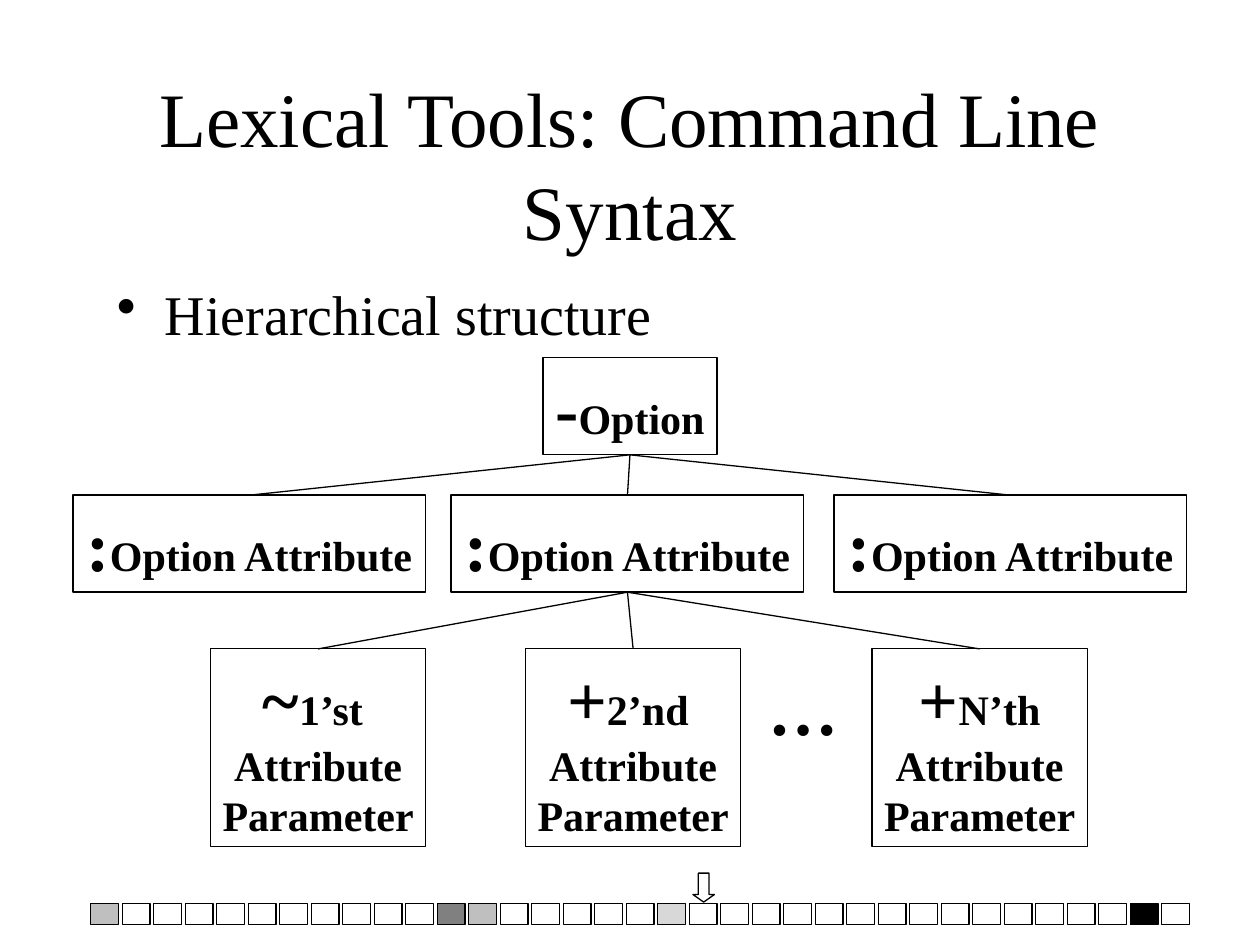
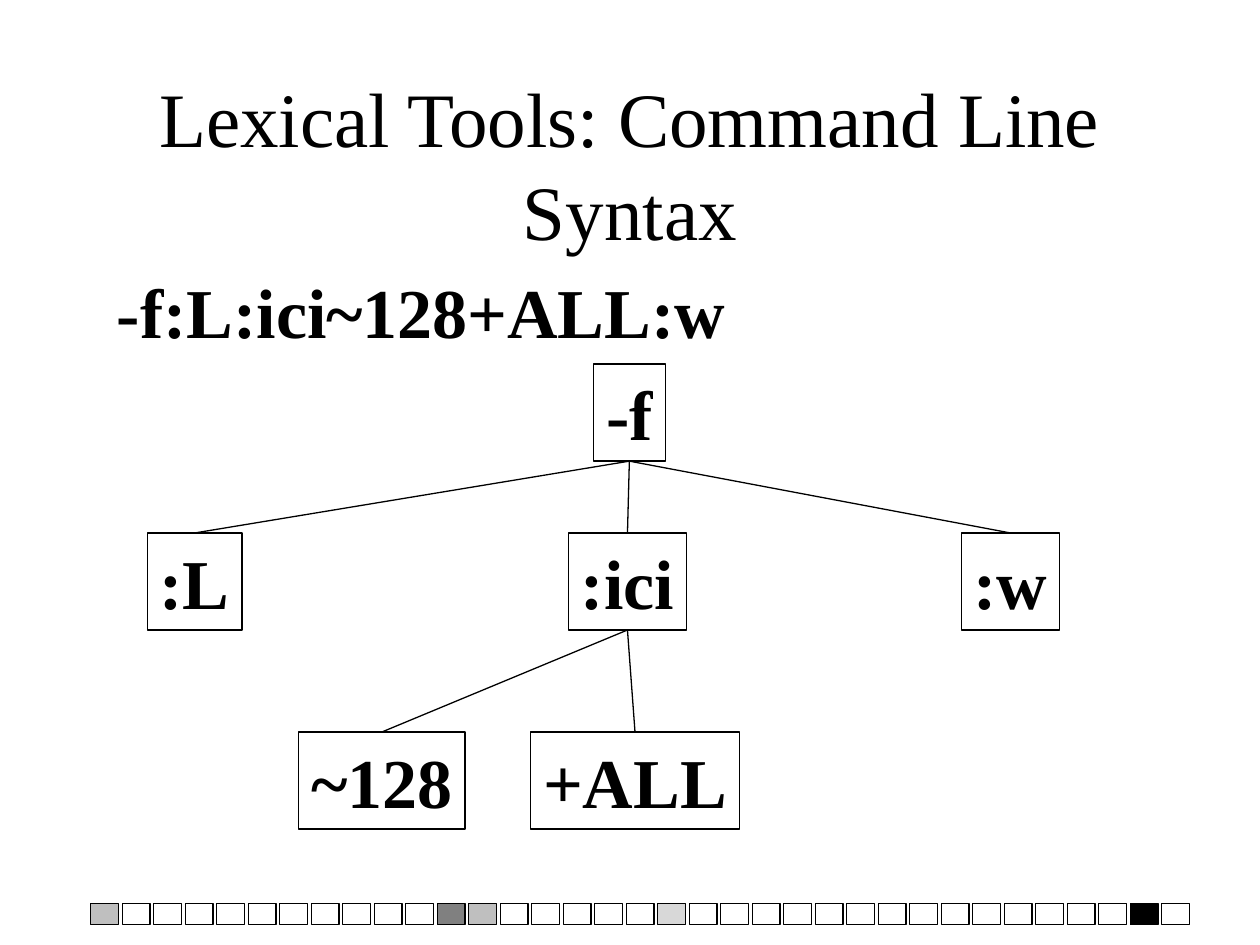
from pptx import Presentation
from pptx.dml.color import RGBColor
from pptx.enum.shapes import MSO_CONNECTOR, MSO_SHAPE
from pptx.enum.text import MSO_ANCHOR, PP_ALIGN
from pptx.oxml.xmlchemy import OxmlElement
from pptx.util import Inches, Pt

BLACK = RGBColor(0x00, 0x00, 0x00)
GRAY = RGBColor(0x80, 0x80, 0x80)
SILVER = RGBColor(0xB2, 0xB2, 0xB2)

FONT = "Times New Roman"
TITLE_SIZE, BODY_SIZE, SYMBOL_SIZE, LABEL_SIZE = 44, 32, 40, 24
HAIRLINE = Pt(0.75)
BOTTOM, TOP = 2, 0
TITLE = "Lexical Tools: Command Line Syntax"

# Progress strip: step number -> (colour, opacity in percent)
STEP_COUNT = 35
STEP_FILLS = {0: (GRAY, 50), 11: (GRAY, 100), 12: (GRAY, 50),
              18: (SILVER, 50), 34 - 1: (BLACK, 100)}


def write_text(frame, paragraphs, size=SYMBOL_SIZE, bold=True,
               align=PP_ALIGN.CENTER, anchor=MSO_ANCHOR.MIDDLE,
               wrap=False, bullet=None):
    """Fill a frame; a paragraph is a string or a list of (text, size) runs."""
    frame.word_wrap = wrap
    frame.vertical_anchor = anchor
    for number, content in enumerate(paragraphs):
        paragraph = frame.paragraphs[0] if number == 0 else frame.add_paragraph()
        paragraph.alignment = align
        if bullet:
            properties = paragraph._p.get_or_add_pPr()
            properties.set("marL", str(Inches(0.38)))
            properties.set("indent", str(-Inches(0.38)))
            mark = OxmlElement("a:buChar")
            mark.set("char", bullet)
            properties.append(mark)
        runs = [(content, size)] if isinstance(content, str) else content
        for text, run_size in runs:
            run = paragraph.add_run()
            run.text = text
            run.font.name = FONT
            run.font.size = Pt(run_size)
            run.font.bold = bold
            run.font.color.rgb = BLACK


class Deck:
    """Holds the shared style and the slide being drawn."""

    def __init__(self):
        self.presentation = Presentation()
        self.presentation.slide_width = Inches(10)
        self.presentation.slide_height = Inches(7.5)
        self.slide = None

    def new_slide(self):
        self.slide = self.presentation.slides.add_slide(
            self.presentation.slide_layouts[6])
        self.progress_strip()
        self.text([TITLE], 0.75, 0.67, 8.5, 1.25, size=TITLE_SIZE,
                  bold=False, wrap=True)

    def text(self, paragraphs, left, top, width, height, **style):
        box = self.slide.shapes.add_textbox(
            Inches(left), Inches(top), Inches(width), Inches(height))
        write_text(box.text_frame, paragraphs, **style)

    def body(self, text, top, **style):
        self.text([text], 0.83, top, 8.5, 4.5, align=PP_ALIGN.LEFT,
                  anchor=MSO_ANCHOR.TOP, wrap=True, **style)

    def outline(self, kind, left, top, width, height, fill=None, opacity=100):
        shape = self.slide.shapes.add_shape(
            kind, Inches(left), Inches(top), Inches(width), Inches(height))
        shape.shadow.inherit = False
        shape.line.color.rgb = BLACK
        shape.line.width = HAIRLINE
        if fill is None:
            shape.fill.background()
            return shape
        shape.fill.solid()
        shape.fill.fore_color.rgb = fill
        if opacity < 100:
            alpha = OxmlElement("a:alpha")
            alpha.set("val", str(opacity * 1000))
            shape.fill._xPr.solidFill.find("{*}srgbClr").append(alpha)
        return shape

    def progress_strip(self):
        for step in range(STEP_COUNT):
            fill, opacity = STEP_FILLS.get(step, (None, 100))
            self.outline(MSO_SHAPE.RECTANGLE, 0.72 + 0.25 * step, 7.17,
                         0.22, 0.17, fill, opacity)

    def node(self, paragraphs, left, top, width, height=0.77):
        node = self.outline(MSO_SHAPE.RECTANGLE, left, top, width, height)
        write_text(node.text_frame, paragraphs)
        return node

    def branches(self, parent, children):
        for child in children:
            branch = self.slide.shapes.add_connector(
                MSO_CONNECTOR.STRAIGHT, 0, 0, 0, 0)
            branch.begin_connect(parent, BOTTOM)
            branch.end_connect(child, TOP)
            branch.line.color.rgb = BLACK
            branch.line.width = HAIRLINE
            branch._element.spPr.append(OxmlElement("a:effectLst"))


def syntax_slide(deck):
    deck.new_slide()
    deck.body("Hierarchical structure", 2.17, size=BODY_SIZE, bold=False,
              bullet="•")

    # Option and its attributes
    option = deck.node([[("-", SYMBOL_SIZE), ("Option", LABEL_SIZE)]],
                       4.31, 2.84, 1.38)
    attribute_text = [[(":", SYMBOL_SIZE), ("Option Attribute", LABEL_SIZE)]]
    attributes = [deck.node(attribute_text, left, 3.93, 2.8)
                  for left in (0.58, 3.58, 6.62)]
    deck.branches(option, attributes)

    # Parameters of the middle attribute
    parameters = [
        deck.node([[(symbol, SYMBOL_SIZE), (ordinal, LABEL_SIZE)],
                   [("Attribute", LABEL_SIZE)], [("Parameter", LABEL_SIZE)]],
                  left, 5.15, 1.71, 1.57)
        for symbol, ordinal, left in (("~", "1’st ", 1.67), ("+", "2’nd ", 4.17),
                                      ("+", "N’th", 6.92))]
    deck.branches(attributes[1], parameters)
    deck.text(["…"], 6, 5.23, 0.75, 0.77, align=PP_ALIGN.LEFT,
              anchor=MSO_ANCHOR.TOP)

    # Marker above the current step
    marker = deck.outline(MSO_SHAPE.DOWN_ARROW, 5.5, 6.93, 0.17, 0.23)
    marker.adjustments[1] = 0.35


def example_slide(deck):
    deck.new_slide()
    deck.body("-f:L:ici~128+ALL:w", 2.08)

    # Flag, its attributes and their parameters
    flag = deck.node(["-f"], 4.71, 2.89, 0.57)
    attributes = [deck.node([text], left, 4.23, width)
                  for text, left, width in ((":L", 1.17, 0.75),
                                            (":ici", 4.51, 0.94),
                                            (":w", 7.63, 0.78))]
    parameters = [deck.node([text], left, 5.81, width)
                  for text, left, width in (("~128", 2.37, 1.32),
                                            ("+ALL", 4.21, 1.66))]
    deck.branches(flag, attributes)
    deck.branches(attributes[1], parameters)


def main():
    deck = Deck()
    syntax_slide(deck)
    example_slide(deck)
    deck.presentation.save("out.pptx")


if __name__ == "__main__":
    main()
